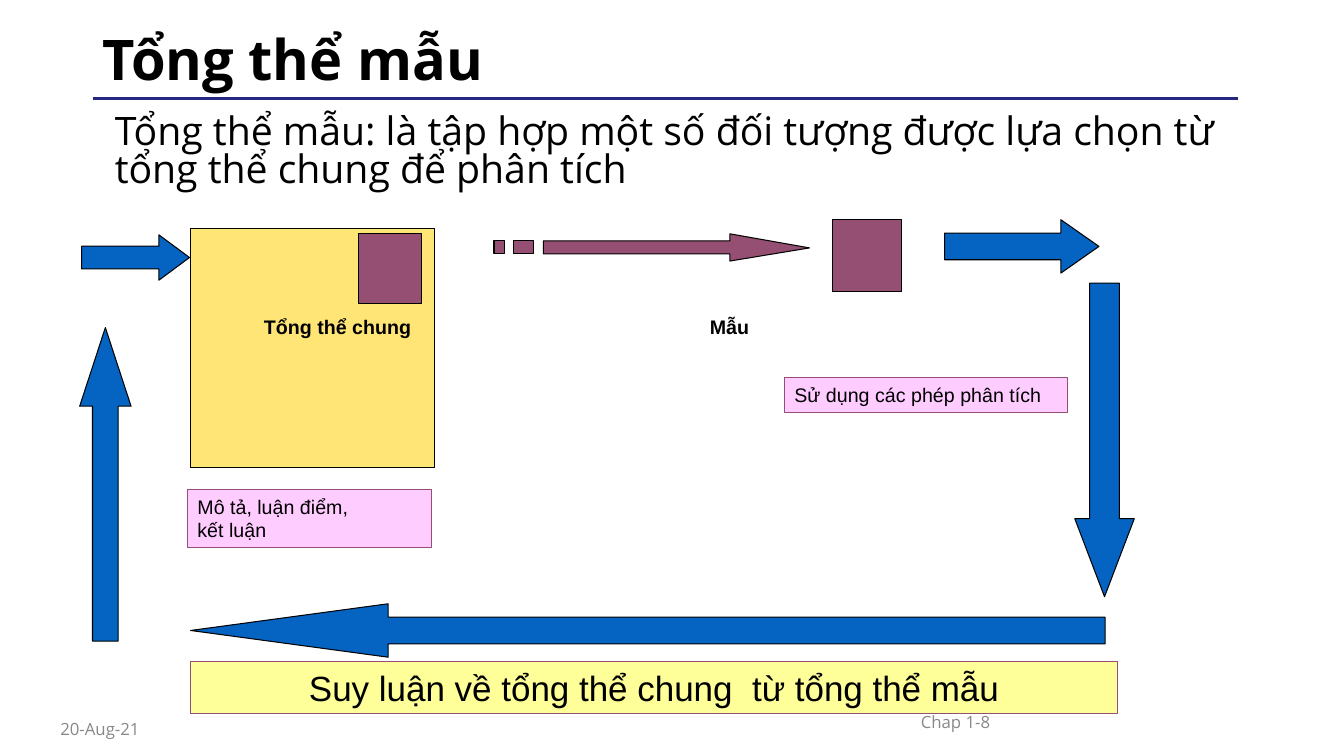
from dataclasses import dataclass

from lxml.etree import SubElement
from pptx import Presentation
from pptx.dml.color import RGBColor
from pptx.enum.shapes import MSO_CONNECTOR, MSO_SHAPE
from pptx.enum.text import MSO_ANCHOR, PP_ALIGN
from pptx.oxml.ns import qn
from pptx.util import Inches, Pt

BLACK, GREY, PLUM, BLUE = "000000", "888888", "954F72", "0563C1"
PINK, GOLD, YELLOW, NAVY = "FFCCFF", "FFE575", "FFFF99", "272780"


@dataclass
class Box:
    left: float
    top: float
    width: float
    height: float

    def lengths(self):
        return [Inches(v) for v in (self.left, self.top, self.width, self.height)]


@dataclass
class Panel:
    box: Box
    fill: str
    line: str = BLACK
    text: str = ""
    size: float = 14
    align: PP_ALIGN = PP_ALIGN.LEFT


@dataclass
class Arrow:
    kind: MSO_SHAPE
    box: Box
    head: float


PANELS = [
    Panel(Box(1.89, 2.27, 2.42, 2.37), GOLD),
    Panel(Box(3.56, 2.32, 0.62, 0.69), PLUM),
    Panel(Box(8.26, 2.18, 0.68, 0.71), PLUM),
    Panel(Box(1.86, 4.86, 2.42, 0.57), PINK, PLUM, "Mô tả, luận điểm,\nkết luận"),
    Panel(Box(7.78, 3.75, 2.81, 0.34), PINK, PLUM, "Sử dụng các phép phân tích"),
    Panel(Box(1.89, 6.56, 9.19, 0.52), YELLOW, PLUM,
          "Suy luận về tổng thể chung  từ tổng thể mẫu", 25, PP_ALIGN.CENTER),
]

ARROWS = [
    Arrow(MSO_SHAPE.RIGHT_ARROW, Box(9.37, 2.18, 1.53, 0.53), 0.713),
    Arrow(MSO_SHAPE.DOWN_ARROW, Box(10.66, 2.81, 0.59, 3.11), 1.311),
    Arrow(MSO_SHAPE.LEFT_ARROW, Box(1.89, 5.99, 9.07, 0.53), 3.699),
    Arrow(MSO_SHAPE.UP_ARROW, Box(0.79, 3.25, 0.51, 3.11), 1.53),
    Arrow(MSO_SHAPE.RIGHT_ARROW, Box(0.81, 2.33, 1.07, 0.45), 0.674),
]

SAMPLING_ARROW = [
    [(7.24, 2.32), (7.24, 2.39), (5.39, 2.39), (5.39, 2.52),
     (7.24, 2.52), (7.24, 2.59), (8.03, 2.46)],
    [(5.09, 2.39), (5.09, 2.52), (5.29, 2.52), (5.29, 2.39)],
    [(4.9, 2.39), (4.9, 2.52), (5, 2.52), (5, 2.39)],
]


def rgb(value: str) -> RGBColor:
    return RGBColor.from_string(value)


def paint(s, fill: str, line: str = BLACK) -> None:
    s.shadow.inherit = False
    s.fill.solid()
    s.fill.fore_color.rgb = rgb(fill)
    s.line.color.rgb = rgb(line)
    s.line.width = Pt(0.75)


def write(tf, text: str, *, size: float = 14, font: str = "Arial", color: str = BLACK,
          bold: bool = False, align: PP_ALIGN = PP_ALIGN.LEFT,
          anchor: MSO_ANCHOR = MSO_ANCHOR.TOP, wrap: bool = True,
          spacing: float = 1.0, indent: float = 0) -> None:
    tf.word_wrap = wrap
    tf.vertical_anchor = anchor
    for i, line in enumerate(text.split("\n")):
        p = tf.add_paragraph() if i else tf.paragraphs[0]
        p.alignment = align
        p.line_spacing = spacing
        if indent:
            p._p.get_or_add_pPr().set("marL", str(Inches(indent)))
        r = p.add_run()
        r.text = line
        r.font.size, r.font.name, r.font.bold = Pt(size), font, bold
        r.font.color.rgb = rgb(color)


def add_text(slide, box: Box, text: str, **style) -> None:
    write(slide.shapes.add_textbox(*box.lengths()).text_frame, text, **style)


def add_panel(slide, panel: Panel) -> None:
    s = slide.shapes.add_shape(MSO_SHAPE.RECTANGLE, *panel.box.lengths())
    paint(s, panel.fill, panel.line)
    if panel.text:
        write(s.text_frame, panel.text, size=panel.size, align=panel.align)


def add_arrow(slide, arrow: Arrow) -> None:
    s = slide.shapes.add_shape(arrow.kind, *arrow.box.lengths())
    s.adjustments[0], s.adjustments[1] = 0.5, arrow.head
    paint(s, BLUE)


def add_sampling_arrow(slide) -> None:
    outlines = [[(Inches(x), Inches(y)) for x, y in part] for part in SAMPLING_ARROW]
    builder = slide.shapes.build_freeform(*outlines[0][0])
    for i, (start, *rest) in enumerate(outlines):
        if i:
            builder.move_to(*start)
        builder.add_line_segments(rest, close=True)
    paint(builder.convert_to_shape(), PLUM)


def add_title_rule(slide) -> None:
    s = slide.shapes.add_connector(MSO_CONNECTOR.STRAIGHT, Inches(12.28), Inches(0.98),
                                   Inches(0.92), Inches(0.98))
    s.line.color.rgb = rgb(NAVY)
    s.line.width = Pt(2)
    SubElement(s._element.spPr, qn("a:effectLst"))


def main() -> None:
    prs = Presentation()
    prs.slide_width, prs.slide_height = Inches(13.33), Inches(7.5)
    slide = prs.slides.add_slide(prs.slide_layouts[6])

    add_title_rule(slide)
    add_text(slide, Box(0.92, 0.17, 11.5, 0.89), "Tổng thể mẫu", size=40,
             font="Open Sans", bold=True, anchor=MSO_ANCHOR.MIDDLE, spacing=0.9)
    add_text(slide, Box(0.92, 1.1, 11.23, 5.65),
             "Tổng thể mẫu: là tập hợp một số đối tượng được lựa chọn từ "
             "tổng thể chung để phân tích",
             size=28, font="Open Sans", spacing=0.8, indent=0.12)

    for panel in PANELS:
        add_panel(slide, panel)
    add_text(slide, Box(2.52, 3.08, 1.67, 0.34), "Tổng thể chung", bold=True, wrap=False)
    add_text(slide, Box(6.76, 3.08, 0.95, 0.34), "Mẫu", bold=True, align=PP_ALIGN.CENTER)
    add_sampling_arrow(slide)
    for arrow in ARROWS:
        add_arrow(slide, arrow)

    footer = dict(size=12, font="Open Sans", color=GREY, anchor=MSO_ANCHOR.MIDDLE)
    add_text(slide, Box(7.84, 6.91, 2.08, 0.51), "Chap 1-8", align=PP_ALIGN.RIGHT, **footer)
    add_text(slide, Box(0.5, 7.03, 2.33, 0.4), "20-Aug-21", **footer)
    prs.save("out.pptx")


if __name__ == "__main__":
    main()
